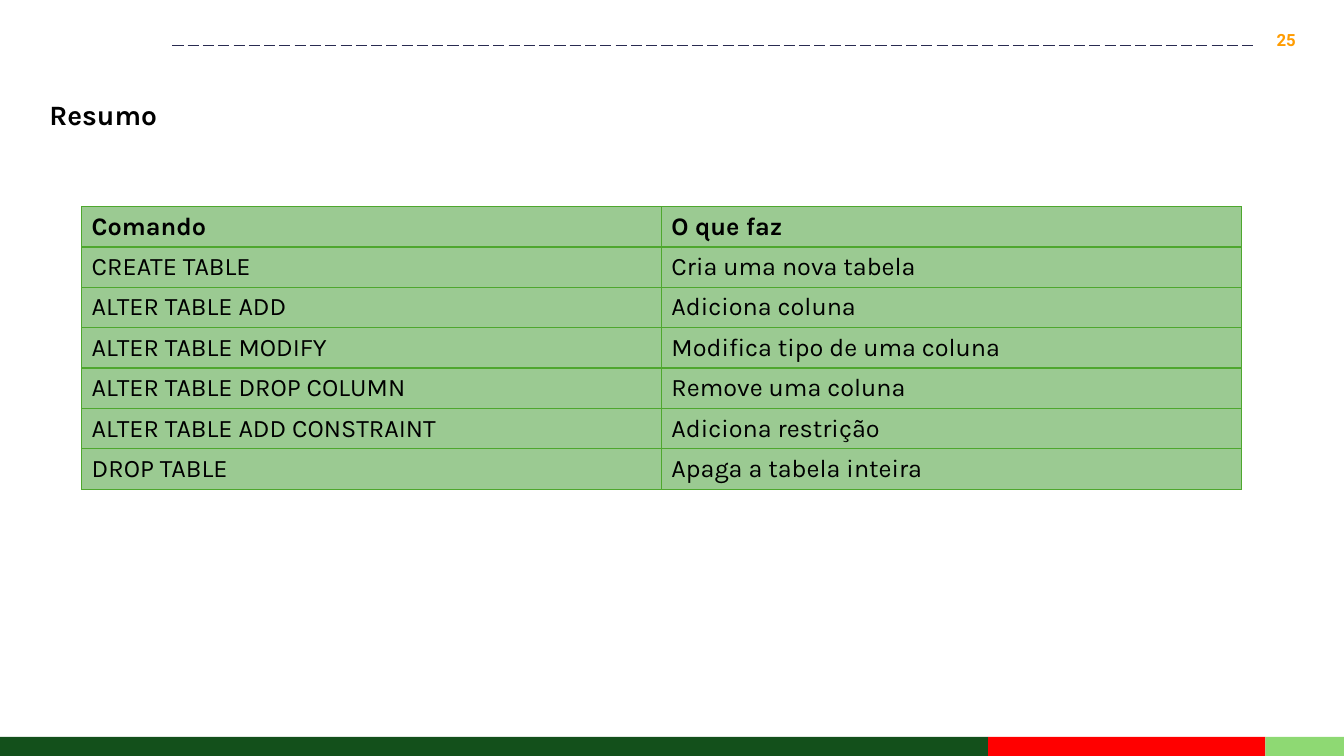
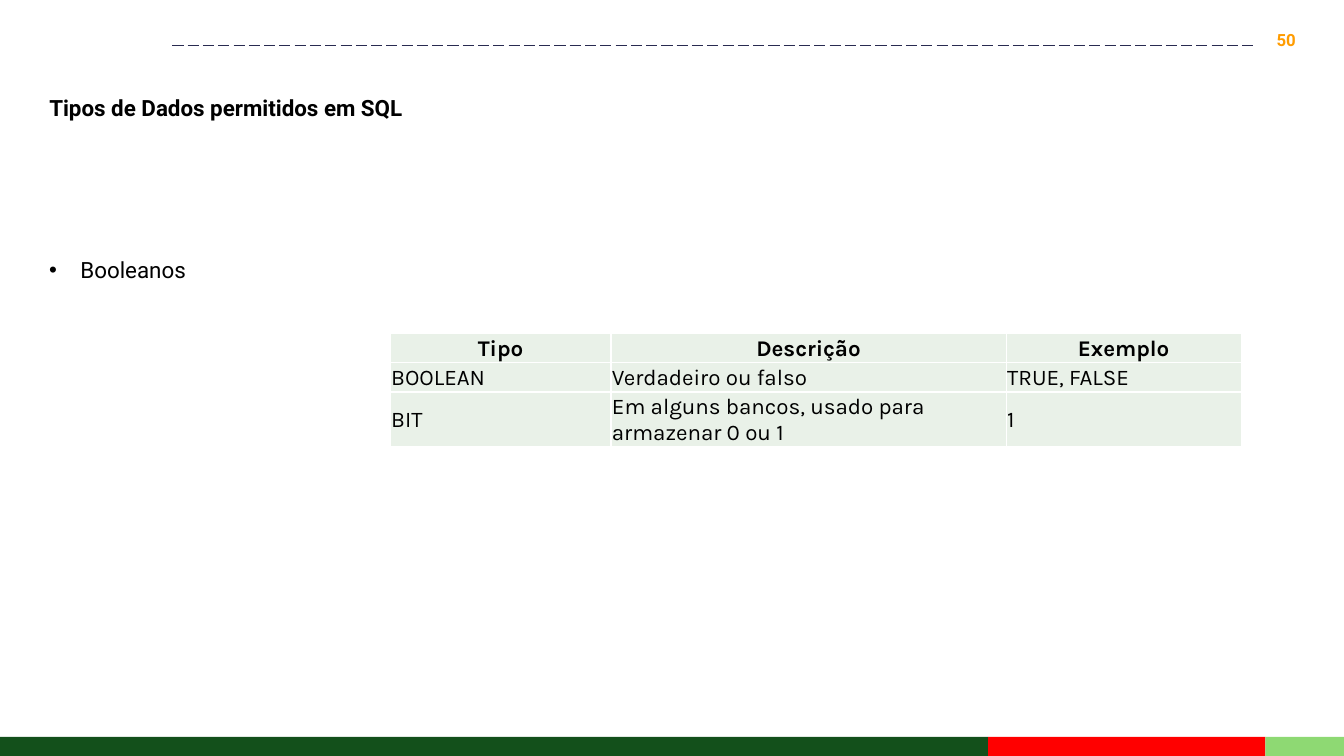
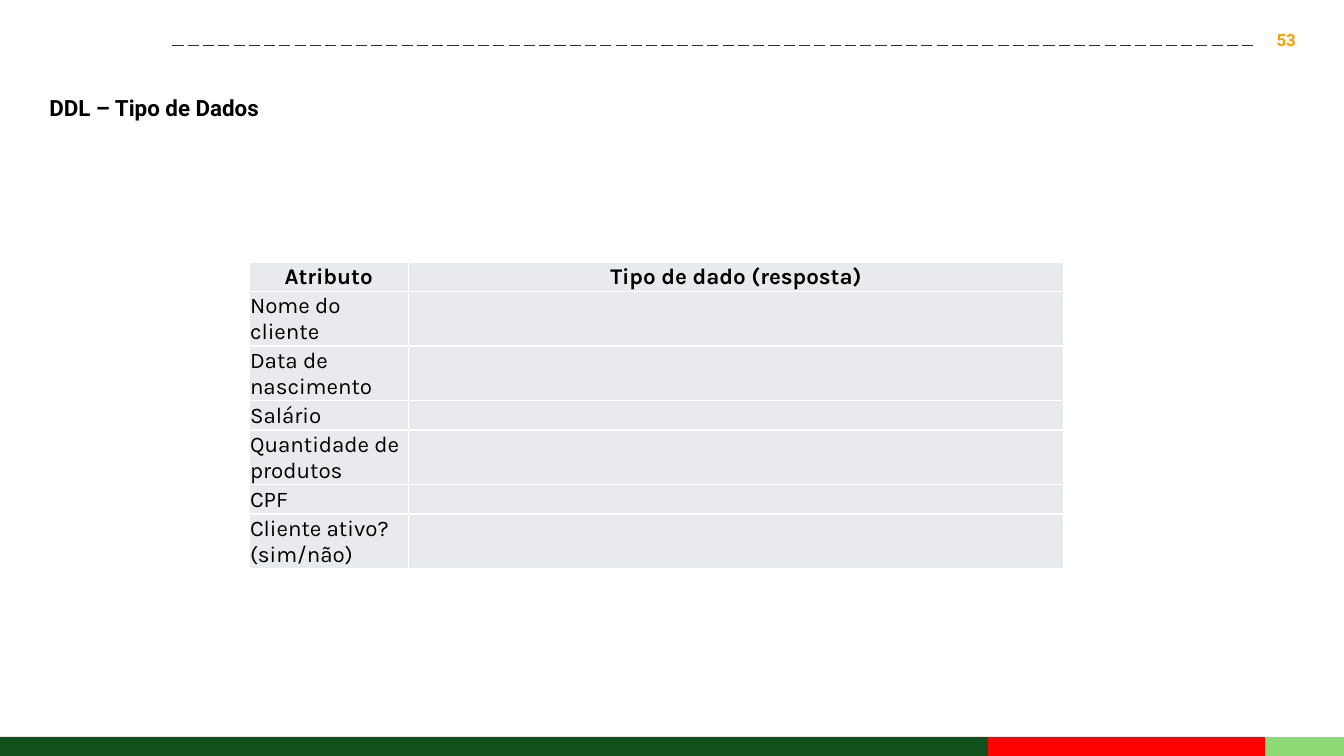
"""Build three SQL course slides: a command summary and two data type tables."""
from lxml.etree import SubElement
from pptx import Presentation
from pptx.dml.color import RGBColor
from pptx.enum.dml import MSO_LINE
from pptx.enum.shapes import MSO_CONNECTOR, MSO_SHAPE
from pptx.enum.text import MSO_ANCHOR, MSO_AUTO_SIZE, PP_ALIGN
from pptx.oxml.ns import qn
from pptx.util import Inches, Pt

WIDTH, HEIGHT = 13.33, 7.5
BAND = 0.19
EDGE = 0.39
COLORS = {
    "text": "000000", "number": "FF9C00", "rule": "292B51",
    "dark": "13501B", "red": "FF0000", "light": "8ED973",
    "leaf": "9BCA92", "stem": "4EA72E",
    "mint": "E9F1E8", "gray": "E8EAED", "white": "FFFFFF",
}
BANDS = [("dark", 9.8), ("red", 2.75), ("light", 0.78)]
TIGHT = (0.01, 0.01, 0.01, 0)
ROOMY = (0.1, 0.05, 0.1, 0.05)

SLIDES = [
    {
        "number": "25",
        "title": ("Resumo", {"size": 20, "face": "Karla"}),
        "table": {
            "at": (0.81, 2.05), "cols": (5.75, 5.75), "row": 0.4,
            "fill": "leaf", "border": "stem", "size": 18,
            "inset": ROOMY, "head": PP_ALIGN.LEFT,
            "rows": [
                ("Comando", "O que faz"),
                ("CREATE TABLE", "Cria uma nova tabela"),
                ("ALTER TABLE ADD", "Adiciona coluna"),
                ("ALTER TABLE MODIFY", "Modifica tipo de uma coluna"),
                ("ALTER TABLE DROP COLUMN", "Remove uma coluna"),
                ("ALTER TABLE ADD CONSTRAINT", "Adiciona restrição"),
                ("DROP TABLE", "Apaga a tabela inteira"),
            ],
        },
    },
    {
        "number": "50",
        "title": ("Tipos de Dados permitidos em SQL", {}),
        "bullet": "Booleanos",
        "table": {
            "at": (3.87, 3.31), "cols": (2.19, 3.92, 2.33), "row": 0.29,
            "fill": "mint", "border": "white", "size": 16,
            "inset": TIGHT, "head": PP_ALIGN.CENTER,
            "rows": [
                ("Tipo", "Descrição", "Exemplo"),
                ("BOOLEAN", "Verdadeiro ou falso", "TRUE, FALSE"),
                ("BIT", "Em alguns bancos, usado para armazenar 0 ou 1", "1"),
            ],
        },
    },
    {
        "number": "53",
        "title": ("DDL – Tipo de Dados", {}),
        "table": {
            "at": (2.47, 2.6), "cols": (1.58, 6.5), "row": 0.29,
            "fill": "gray", "border": "white", "size": 16,
            "inset": TIGHT, "head": PP_ALIGN.CENTER,
            "rows": [
                ("Atributo", "Tipo de dado (resposta)"),
                ("Nome do cliente", ""),
                ("Data de nascimento", ""),
                ("Salário", ""),
                ("Quantidade de produtos", ""),
                ("CPF", ""),
                ("Cliente ativo? (sim/não)", ""),
            ],
        },
    },
]


def color(name):
    """Return the named colour."""
    return RGBColor.from_string(COLORS[name])


def write(frame, text, size=16, face="Roboto", tint="text", bold=False,
          align=PP_ALIGN.LEFT, spacing=None, bullet=None):
    """Write one formatted paragraph into a text frame."""
    para = frame.paragraphs[0]
    para.alignment = align
    if spacing:
        para.line_spacing = spacing
    if bullet:
        props = para._p.get_or_add_pPr()
        props.set("marL", str(Inches(0.31)))
        props.set("indent", str(-Inches(0.31)))
        SubElement(props, qn("a:buFont"), typeface="Arial")
        SubElement(props, qn("a:buChar"), char=bullet)
    if not text:
        end = SubElement(para._p, qn("a:endParaRPr"), sz=str(size * 100))
        SubElement(end, qn("a:latin"), typeface=face)
        return
    run = para.add_run()
    run.text = text
    font = run.font
    font.size, font.name, font.bold = Pt(size), face, bold
    font.color.rgb = color(tint)


def label(slide, text, box, grow=True, **style):
    """Add a wrapped text box."""
    frame = slide.shapes.add_textbox(*map(Inches, box)).text_frame
    frame.word_wrap = True
    if grow:
        frame.auto_size = MSO_AUTO_SIZE.SHAPE_TO_FIT_TEXT
    else:
        frame.vertical_anchor = MSO_ANCHOR.MIDDLE
    write(frame, text, **style)


def dress(slide, number, title):
    """Add the footer bands, page number, dashed rule and title."""
    left = 0
    for name, wide in BANDS:
        box = (left, HEIGHT - BAND, wide, BAND)
        band = slide.shapes.add_shape(MSO_SHAPE.RECTANGLE, *map(Inches, box))
        band.shadow.inherit = False
        band.fill.solid()
        band.fill.fore_color.rgb = color(name)
        band.line.fill.background()
        left += wide
    label(slide, number, (12.44, 0.2, 0.51, 0.4), grow=False, size=12,
          tint="number", bold=True, align=PP_ALIGN.RIGHT)
    ends = map(Inches, (1.71, 0.45, 12.44, 0.45))
    rule = slide.shapes.add_connector(MSO_CONNECTOR.STRAIGHT, *ends)
    rule.line.color.rgb = color("rule")
    rule.line.width = Pt(1)
    rule.line.dash_style = MSO_LINE.LONG_DASH
    SubElement(rule._element.spPr, qn("a:effectLst"))
    text, style = title
    high = 0.56 if style else 0.46
    label(slide, text, (EDGE, 0.75, 7.89, high), bold=True, spacing=1.5, **style)


def edge(cell, name):
    """Draw a one point border round a cell."""
    props = cell._tc.get_or_add_tcPr()
    for side in ("lnL", "lnR", "lnT", "lnB"):
        line = SubElement(props, qn(f"a:{side}"), w=str(Pt(1)))
        fill = SubElement(line, qn("a:solidFill"))
        SubElement(fill, qn("a:srgbClr"), val=COLORS[name])


def grid(slide, data):
    """Add a table with a bold first row."""
    rows, cols = data["rows"], data["cols"]
    box = (*data["at"], sum(cols), data["row"] * len(rows))
    table = slide.shapes.add_table(
        len(rows), len(cols), *map(Inches, box)).table
    table.first_row = table.horz_banding = False
    for col, wide in zip(table.columns, cols):
        col.width = Inches(wide)
    for r, row in enumerate(rows):
        table.rows[r].height = Inches(data["row"])
        for c, text in enumerate(row):
            cell = table.cell(r, c)
            edge(cell, data["border"])
            cell.fill.solid()
            cell.fill.fore_color.rgb = color(data["fill"])
            (cell.margin_left, cell.margin_top, cell.margin_right,
             cell.margin_bottom) = map(Inches, data["inset"])
            cell.vertical_anchor = MSO_ANCHOR.MIDDLE
            write(cell.text_frame, text, size=data["size"], face="Karla",
                  bold=r == 0, align=PP_ALIGN.LEFT if r else data["head"])


def main():
    """Build and save the deck."""
    deck = Presentation()
    deck.slide_width, deck.slide_height = Inches(WIDTH), Inches(HEIGHT)
    for data in SLIDES:
        slide = deck.slides.add_slide(deck.slide_layouts[6])
        dress(slide, data["number"], data["title"])
        if "bullet" in data:
            label(slide, data["bullet"], (EDGE, 2.36, 5.03, 0.46),
                  spacing=1.5, bullet="•")
        grid(slide, data["table"])
    deck.save("out.pptx")


if __name__ == "__main__":
    main()
